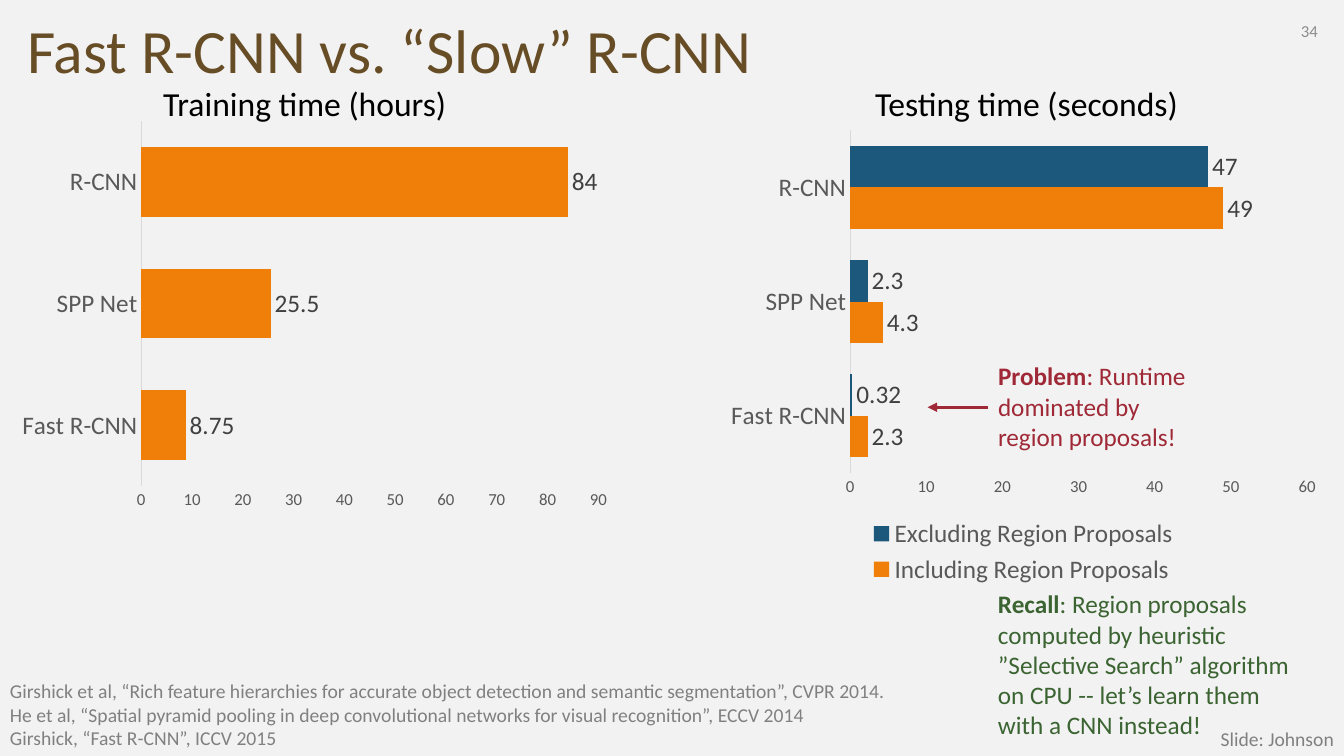
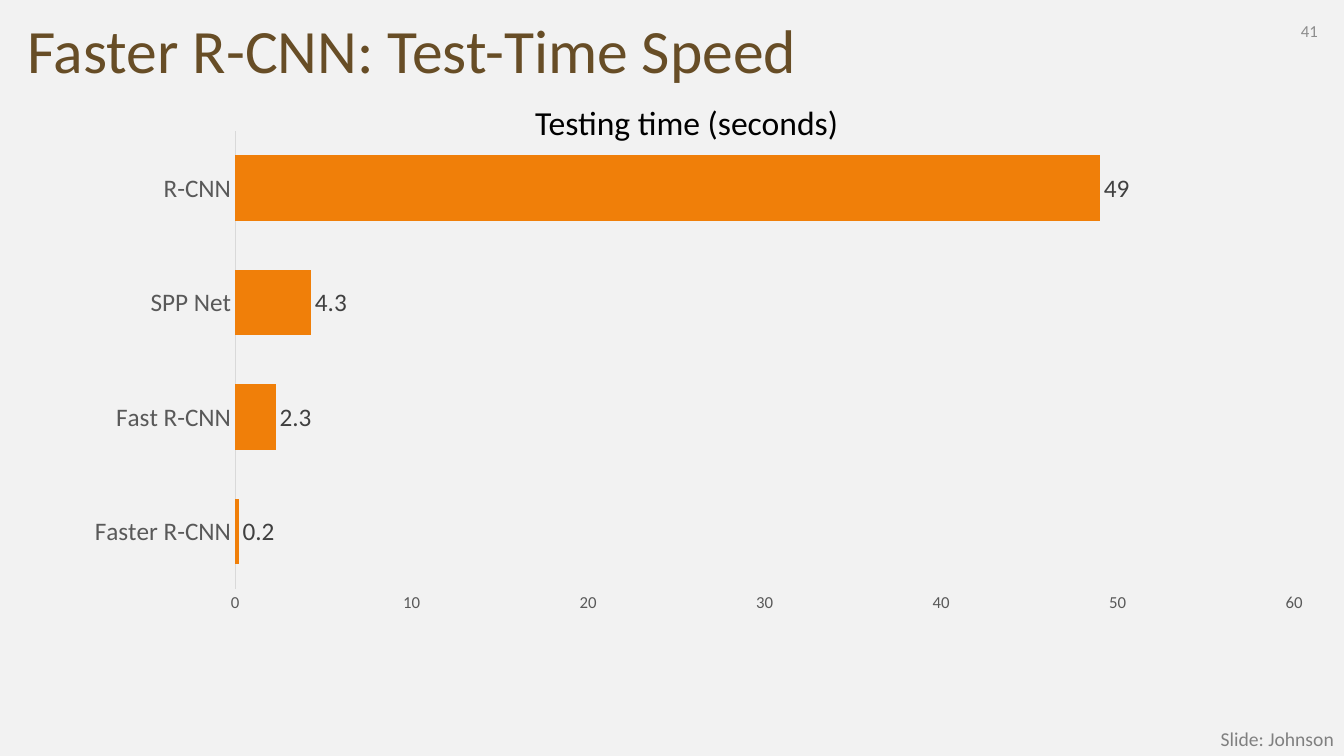
"""Build two slides that compare the speed of R-CNN detectors."""
from lxml import etree
from pptx import Presentation
from pptx.chart.data import CategoryChartData
from pptx.dml.color import RGBColor
from pptx.enum.chart import XL_CHART_TYPE, XL_LABEL_POSITION, XL_LEGEND_POSITION, XL_TICK_MARK
from pptx.enum.shapes import MSO_CONNECTOR
from pptx.enum.text import MSO_ANCHOR, MSO_AUTO_SIZE, PP_ALIGN
from pptx.oxml.ns import qn
from pptx.util import Inches, Pt

BAR = XL_CHART_TYPE.BAR_CLUSTERED
OUTSIDE_END = XL_LABEL_POSITION.OUTSIDE_END
BOTTOM = XL_LEGEND_POSITION.BOTTOM
NO_TICK = XL_TICK_MARK.NONE
STRAIGHT = MSO_CONNECTOR.STRAIGHT
MIDDLE, TOP = MSO_ANCHOR.MIDDLE, MSO_ANCHOR.TOP
GROW, FIXED = MSO_AUTO_SIZE.SHAPE_TO_FIT_TEXT, MSO_AUTO_SIZE.NONE
LEFT, RIGHT = PP_ALIGN.LEFT, PP_ALIGN.RIGHT

FONT = "Calibri"
PAPER, BROWN, BLACK = "F2F2F2", "674D26", "000000"
ORANGE, BLUE, RED, GREEN = "F07F09", "1B587C", "9F2936", "3B6432"
PAGE_GRAY, CREDIT_GRAY = "8C8C8C", "808080"
AXIS_GRAY, LABEL_GRAY, LINE_GRAY = "595959", "404040", "D9D9D9"
TITLE_ONLY = 5


def paint(target, color):
    """Give a fill a solid colour."""
    target.solid()
    target.fore_color.rgb = RGBColor.from_string(color)


def set_font(font, size, color, bold=False):
    """Format a font in the deck's typeface."""
    font.name, font.size, font.bold = FONT, Pt(size), bold
    font.color.rgb = RGBColor.from_string(color)


def write(frame, *lines, size=18, color=BLACK, lead="", align=LEFT,
          anchor=TOP, fit=GROW, spacing=None):
    """Fill a text frame with one paragraph per line, after an optional bold lead."""
    frame.word_wrap = True
    frame.auto_size = fit
    frame.vertical_anchor = anchor
    for index, line in enumerate(lines):
        para = frame.add_paragraph() if index else frame.paragraphs[0]
        para.alignment = align
        para.line_spacing = spacing
        spans = [(line, False)]
        if lead and index == 0:
            spans.insert(0, (lead, True))
        for text, bold in spans:
            span = para.add_run()
            span.text = text
            set_font(span.font, size, color, bold)


class Deck:
    """Hold the shared style and the current page."""

    def __init__(self):
        """Start a wide deck with a plain background."""
        self.deck = Presentation()
        self.deck.slide_width, self.deck.slide_height = Inches(13.33), Inches(7.5)
        paint(self.deck.slide_master.background.fill, PAPER)
        self.page = None

    def add_page(self, title, number):
        """Add a page with its title, number and credit."""
        self.page = self.deck.slides.add_slide(self.deck.slide_layouts[TITLE_ONLY])
        heading = self.page.shapes.title
        heading.left, heading.top = Inches(0.17), Inches(0.11)
        heading.width, heading.height = Inches(13), Inches(0.85)
        write(heading.text_frame, title, size=44, color=BROWN, anchor=MIDDLE,
              fit=FIXED, spacing=0.9)
        self.add_text(12.6, 0.11, 0.57, 0.4, str(number), size=12,
                      color=PAGE_GRAY, align=RIGHT, anchor=MIDDLE, fit=FIXED)
        self.add_text(10.88, 7.16, 2.45, 0.34, "Slide: Johnson", size=14,
                      color=CREDIT_GRAY, align=RIGHT)

    def add_text(self, left, top, width, height, *lines, **style):
        """Add a text box and return it."""
        box = self.page.shapes.add_textbox(
            Inches(left), Inches(top), Inches(width), Inches(height))
        write(box.text_frame, *lines, **style)
        return box

    def add_bars(self, left, top, width, height, categories, series, maximum, legend=False):
        """Add a horizontal bar chart; series holds (name, values, colour)."""
        data = CategoryChartData()
        data.categories = categories
        for name, values, _ in series:
            data.add_series(name, values)
        chart = self.page.shapes.add_chart(
            BAR, Inches(left), Inches(top), Inches(width), Inches(height), data).chart
        set_font(chart.font, 10, BLACK)
        chart.has_title = False
        chart.has_legend = legend
        if legend:
            chart.legend.position = BOTTOM
            chart.legend.include_in_layout = False
            set_font(chart.legend.font, 18, AXIS_GRAY)

        for axis, size in ((chart.category_axis, 18), (chart.value_axis, 12)):
            axis.has_major_gridlines = False
            axis.major_tick_mark = axis.minor_tick_mark = NO_TICK
            set_font(axis.tick_labels.font, size, AXIS_GRAY)
        paint(chart.category_axis.format.line.fill, LINE_GRAY)
        chart.category_axis.format.line.width = Pt(0.75)
        chart.value_axis.format.line.fill.background()
        chart.value_axis.minimum_scale = 0
        chart.value_axis.maximum_scale = maximum
        chart.value_axis.major_unit = 10

        plot = chart.plots[0]
        plot.gap_width, plot.overlap = 75, 0
        plot.vary_by_categories = False
        plot.has_data_labels = True
        plot.data_labels.show_value = True
        plot.data_labels.position = OUTSIDE_END
        set_font(plot.data_labels.font, 18, LABEL_GRAY)
        for bars, (_, _, color) in zip(plot.series, series):
            paint(bars.format.fill, color)

    def add_arrow_from(self, box, length, color):
        """Draw an arrow leftwards from the middle of a box's left side."""
        middle = box.top + box.height // 2
        arrow = self.page.shapes.add_connector(
            STRAIGHT, box.left, middle, box.left - Inches(length), middle)
        arrow.begin_connect(box, 1)
        paint(arrow.line.fill, color)
        arrow.line.width = Pt(2.25)
        etree.SubElement(arrow.line._get_or_add_ln(), qn("a:tailEnd"), type="triangle")
        etree.SubElement(arrow._element.spPr, qn("a:effectLst"))

    def save(self):
        """Save the deck."""
        self.deck.save("out.pptx")


def build_fast(deck):
    """Build the page on training and testing time of Fast R-CNN."""
    networks = ["Fast R-CNN", "SPP Net", "R-CNN"]
    deck.add_page("Fast R-CNN vs. “Slow” R-CNN", 34)
    deck.add_bars(0.1, 1.12, 6.04, 4.02, networks,
                  [("Series 1", (8.75, 25.5, 84), ORANGE)], 90)
    deck.add_bars(7.13, 1.2, 6.04, 4.65, networks,
                  [("Including Region Proposals", (2.3, 4.3, 49), ORANGE),
                   ("Excluding Region Proposals", (0.32, 2.3, 47), BLUE)],
                  60, legend=True)
    deck.add_text(1.52, 0.77, 3.52, 0.5, "Training time (hours)", size=24)
    deck.add_text(8.58, 0.77, 4.65, 0.5, "Testing time (seconds)", size=24)
    deck.add_text(
        0, 6.69, 9.48, 0.81,
        "Girshick et al, “Rich feature hierarchies for accurate object detection "
        "and semantic segmentation”, CVPR 2014.",
        "He et al, “Spatial pyramid pooling in deep convolutional networks "
        "for visual recognition”, ECCV 2014",
        "Girshick, “Fast R-CNN”, ICCV 2015",
        size=14, color=CREDIT_GRAY)
    problem = deck.add_text(9.8, 3.53, 2.88, 1.02, ": Runtime", "dominated by",
                            "region proposals!", lead="Problem", color=RED)
    deck.add_arrow_from(problem, 0.6, RED)
    deck.add_text(
        9.8, 5.79, 3.2, 1.62,
        ": Region proposals computed by heuristic ”Selective Search” algorithm "
        "on CPU -- let’s learn them with a CNN instead!",
        lead="Recall", color=GREEN)


def build_faster(deck):
    """Build the page on testing time of Faster R-CNN."""
    deck.add_page("Faster R-CNN: Test-Time Speed", 41)
    deck.add_bars(0.69, 1.2, 12.48, 4.98,
                  ["Faster R-CNN", "Fast R-CNN", "SPP Net", "R-CNN"],
                  [("Series 1", (0.2, 2.3, 4.3, 49), ORANGE)], 60)
    deck.add_text(5.21, 0.96, 3.52, 0.5, "Testing time (seconds)", size=24)


def main():
    """Build and save both pages."""
    deck = Deck()
    build_fast(deck)
    build_faster(deck)
    deck.save()


if __name__ == "__main__":
    main()
